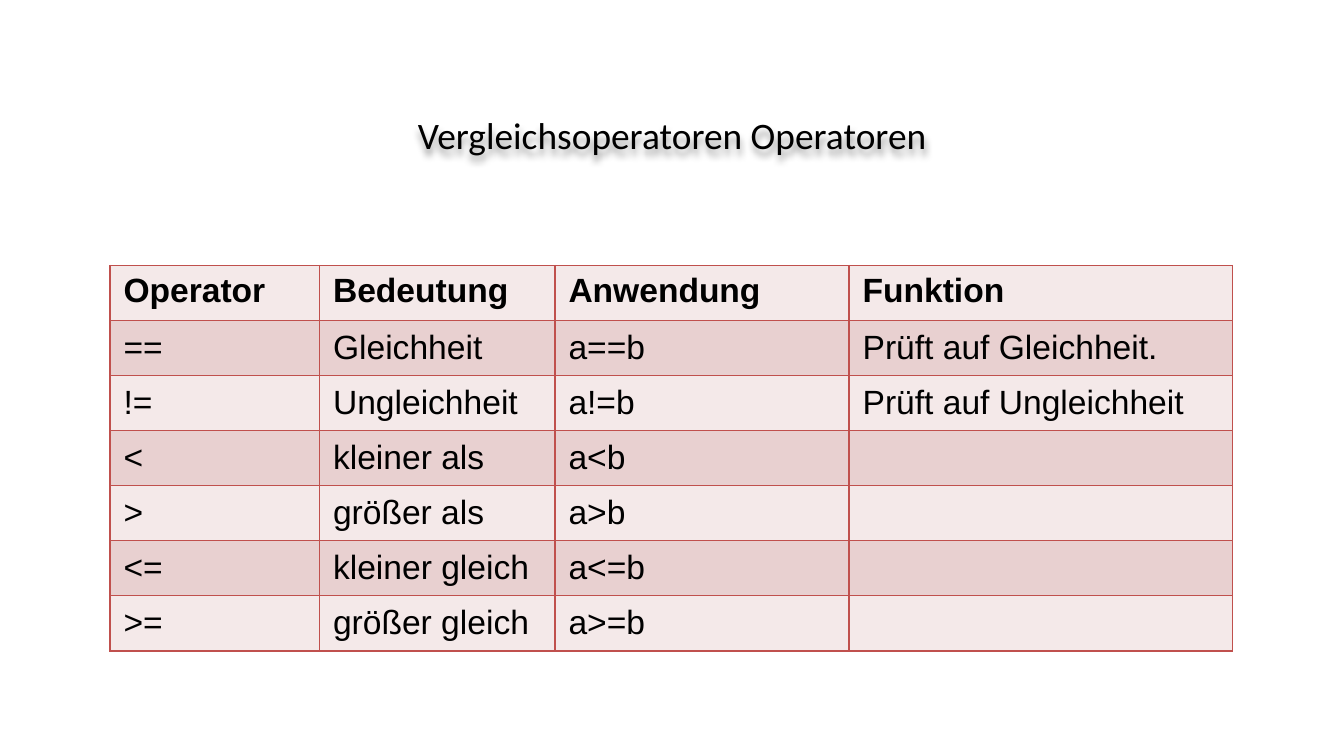
from pptx import Presentation
from pptx import util as u
from pptx.dml.color import RGBColor
from pptx.enum import text
from pptx.oxml import parse_xml
from pptx.oxml.ns import nsdecls

BLACK = "000000"
BORDER = "C0504D"
BANDS = ("F4E9E9", "E8D0D0")
COLUMN_WIDTHS = (3.96, 4.45, 5.56, 7.24)
ROW_HEIGHT = 1.04
ROWS = (
    ("Operator", "Bedeutung", "Anwendung", "Funktion"),
    ("==", "Gleichheit", "a==b", "Prüft auf Gleichheit."),
    ("!=", "Ungleichheit", "a!=b", "Prüft auf Ungleichheit"),
    ("<", "kleiner als", "a<b", ""),
    (">", "größer als", "a>b", ""),
    ("<=", "kleiner gleich", "a<=b", ""),
    (">=", "größer gleich", "a>=b", ""),
)


def colour(value):
    return RGBColor.from_string(value)


def write(frame, content, font="Arial", size=18, bold=False, align=None):
    para = frame.paragraphs[0]
    para.alignment = align
    para.space_before = u.Pt(0)
    para.font.size = u.Pt(size)
    if not content:
        return
    span = para.add_run()
    span.text = content
    span.font.name = font
    span.font.size = u.Pt(size)
    span.font.bold = bold
    span.font.color.rgb = colour(BLACK)


def add_shadow(box):
    box._element.spPr.append(parse_xml(
        f'<a:effectLst {nsdecls("a")}>'
        '<a:outerShdw blurRad="50800" dist="38100" dir="5400000" algn="t" rotWithShape="0">'
        '<a:srgbClr val="000000"><a:alpha val="40000"/></a:srgbClr>'
        '</a:outerShdw></a:effectLst>'))


def fill_title(page, content):
    box = page.shapes.title
    box.left, box.top = u.Cm(5.1), u.Cm(1.98)
    box.width, box.height = u.Cm(15.21), u.Cm(1.11)
    frame = box.text_frame
    frame.word_wrap = True
    frame.auto_size = text.MSO_AUTO_SIZE.SHAPE_TO_FIT_TEXT
    frame.vertical_anchor = text.MSO_ANCHOR.MIDDLE
    write(frame, content, font="Calibri", size=20, align=text.PP_ALIGN.CENTER)
    box.fill.background()
    add_shadow(box)


def add_borders(cell):
    properties = cell._tc.get_or_add_tcPr()
    for side in ("lnL", "lnR", "lnT", "lnB"):
        properties.append(parse_xml(
            f'<a:{side} {nsdecls("a")} w="{u.Pt(1)}"><a:solidFill>'
            f'<a:srgbClr val="{BORDER}"/></a:solidFill></a:{side}>'))


def format_cell(cell, content, fill, header):
    add_borders(cell)
    cell.fill.solid()
    cell.fill.fore_color.rgb = colour(fill)
    cell.vertical_anchor = text.MSO_ANCHOR.TOP if header else text.MSO_ANCHOR.MIDDLE
    write(cell.text_frame, content, bold=header)


def add_operator_table(page):
    table = page.shapes.add_table(
        len(ROWS), len(COLUMN_WIDTHS), u.Cm(2.08), u.Cm(5.02),
        u.Cm(sum(COLUMN_WIDTHS)), u.Cm(ROW_HEIGHT * len(ROWS))).table
    table.first_row = False
    table.horz_banding = False
    for column, width in zip(table.columns, COLUMN_WIDTHS):
        column.width = u.Cm(width)
    for index, (row, contents) in enumerate(zip(table.rows, ROWS)):
        row.height = u.Cm(ROW_HEIGHT)
        for cell, content in zip(row.cells, contents):
            format_cell(cell, content, BANDS[index % 2], header=index == 0)


def main():
    deck = Presentation()
    deck.slide_width, deck.slide_height = u.Cm(25.4), u.Cm(14.29)
    page = deck.slides.add_slide(deck.slide_layouts.get_by_name("Title Only"))
    fill_title(page, "Vergleichsoperatoren Operatoren")
    add_operator_table(page)
    deck.save("out.pptx")


if __name__ == "__main__":
    main()
